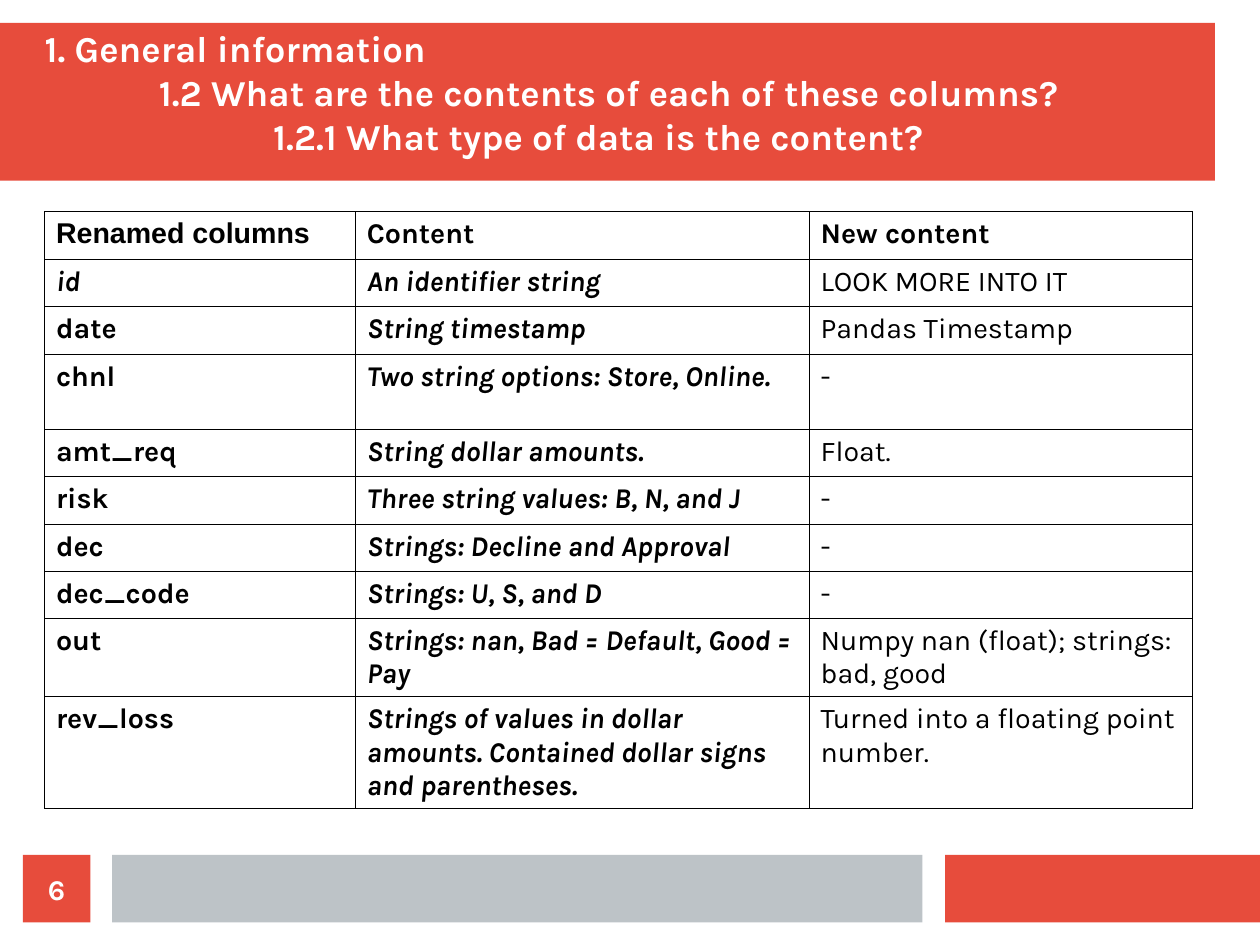
from lxml import etree
from pptx import Presentation
from pptx import util as u
from pptx.dml.color import RGBColor
from pptx.enum import shapes, text
from pptx.oxml.ns import qn

RED, GREY, WHITE, BLACK = "E74C3C", "BDC3C7", "FFFFFF", "000000"
FONT = "Karla"
TITLE = [
    "1. General information",
    "1.2 What are the contents of each of these columns?",
    "1.2.1 What type of data is the content?",
]
COLS = [2.72, 3.97, 3.35]
# Row height, then the three cells
ROWS = [
    (0.42, "Renamed columns", "Content", "New content"),
    (0.41, "id", "An identifier string", "LOOK MORE INTO IT"),
    (0.42, "date", "String timestamp", "Pandas Timestamp"),
    (0.66, "chnl", "Two string options: Store, Online.", "-"),
    (0.41, "amt_req", "String dollar amounts.", "Float."),
    (0.42, "risk", "Three string values: B, N, and J", "-"),
    (0.41, "dec", "Strings: Decline and Approval", "-"),
    (0.41, "dec_code", "Strings: U, S, and D", "-"),
    (0.66, "out", "Strings: nan, Bad = Default, Good = Pay",
     "Numpy nan (float); strings: bad, good"),
    (0.94, "rev_loss",
     "Strings of values in dollar amounts. Contained dollar signs and parentheses.",
     "Turned into a floating point number."),
]


def color(code):
    return RGBColor.from_string(code)


def style(para, size, code, bold=True, italic=False, name=FONT):
    font = para.font
    font.name, font.size = name, u.Pt(size)
    font.bold, font.italic = bold, italic
    font.color.rgb = color(code)


def inset(frame):
    frame.margin_left = frame.margin_right = 0
    frame.margin_top = frame.margin_bottom = 0


def block(slide, x, y, w, h, code):
    rect = slide.shapes.add_shape(shapes.MSO_SHAPE.RECTANGLE, u.Inches(x),
                                  u.Inches(y), u.Inches(w), u.Inches(h))
    rect.shadow.inherit = False
    rect.fill.solid()
    rect.fill.fore_color.rgb = color(code)
    rect.line.fill.background()
    return rect


def header(slide, x, y, w, h):
    # Red band, placed behind the title
    band = block(slide, x, y, w, h, RED)
    title = slide.shapes.title
    title.element.addprevious(band.element)
    title.left, title.top = u.Inches(x + 0.39), u.Inches(y + 0.2)
    title.width, title.height = u.Inches(w - 0.39), u.Inches(0.98)
    # Three lines, each one inch further in
    frame = title.text_frame
    inset(frame)
    frame.word_wrap = True
    frame.auto_size = text.MSO_AUTO_SIZE.NONE
    frame.vertical_anchor = text.MSO_ANCHOR.BOTTOM
    frame.text = "\n".join(TITLE)
    for level, para in enumerate(frame.paragraphs):
        props = para._p.get_or_add_pPr()
        props.set("marL", str(u.Inches(level)))
        props.set("indent", "0")
        para.alignment = text.PP_ALIGN.LEFT
        para.space_before = u.Pt(0)
        style(para, 23, WHITE)


def border(cell, width, code):
    props = cell._tc.get_or_add_tcPr()
    for at, side in enumerate(("lnL", "lnR", "lnT", "lnB")):
        line = etree.Element(qn("a:" + side), w=str(u.Pt(width)))
        fill = etree.SubElement(line, qn("a:solidFill"))
        etree.SubElement(fill, qn("a:srgbClr"), val=code)
        props.insert(at, line)


def grid(slide, x, y):
    high = sum(row[0] for row in ROWS)
    table = slide.shapes.add_table(len(ROWS), len(COLS), u.Inches(x), u.Inches(y),
                                   u.Inches(sum(COLS)), u.Inches(high)).table
    table.first_row = table.horz_banding = False
    for col, wide in zip(table.columns, COLS):
        col.width = u.Inches(wide)
    for r, (tall, *words) in enumerate(ROWS):
        table.rows[r].height = u.Inches(tall)
        for c, word in enumerate(words):
            cell = table.cell(r, c)
            cell.text = word
            cell.fill.background()
            border(cell, 0.57, BLACK)
            style(cell.text_frame.paragraphs[0], 18, BLACK,
                  bold=r == 0 or c < 2,
                  italic=word == "id" or (r > 0 and c == 1),
                  name="Arial" if r == c == 0 else FONT)


def footer(slide, y, h):
    # Grey and red bars, then the page number
    block(slide, 0.98, y, 7.09, h, GREY)
    block(slide, 8.27, y, 2.76, h, RED)
    page = block(slide, 0.2, y, h, h, RED).text_frame
    inset(page)
    page.vertical_anchor = text.MSO_ANCHOR.MIDDLE
    page.text = "6"
    para = page.paragraphs[0]
    para.alignment = text.PP_ALIGN.CENTER
    style(para, 18, WHITE)


def main():
    deck = Presentation()
    # The page is metric: 28 by 21 cm
    deck.slide_width = u.Cm(28)
    deck.slide_height = u.Cm(21)
    slide = deck.slides.add_slide(deck.slide_layouts[5])
    header(slide, 0, 0.2, 10.63, 1.38)
    grid(slide, 0.39, 1.85)
    footer(slide, 7.48, 0.59)
    deck.save("out.pptx")


if __name__ == "__main__":
    main()
